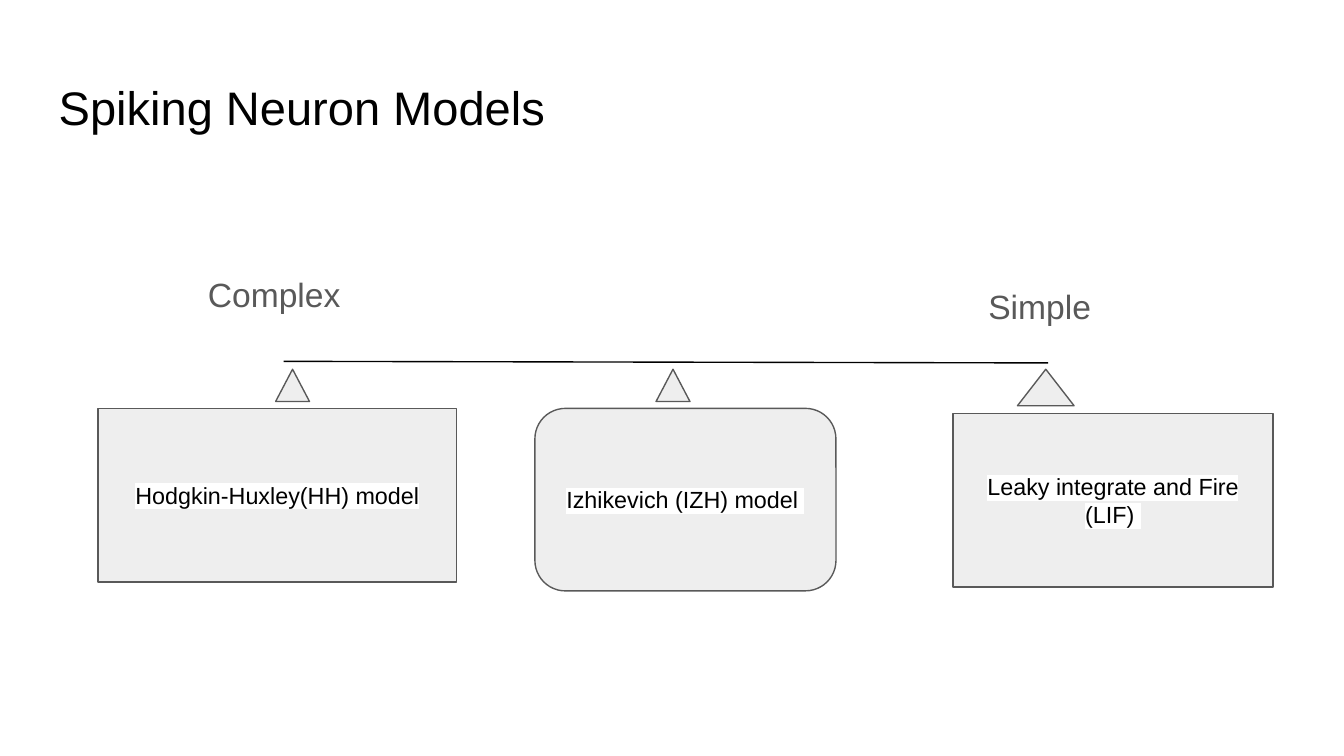
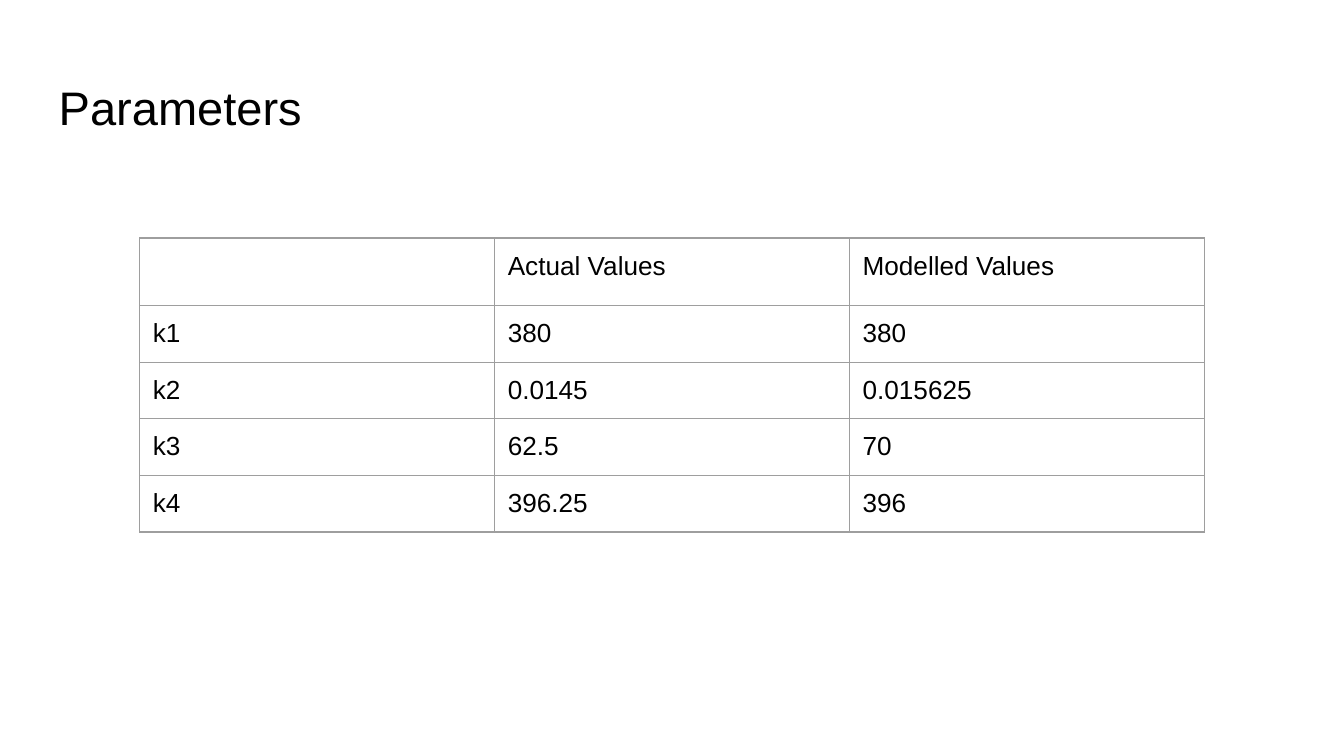
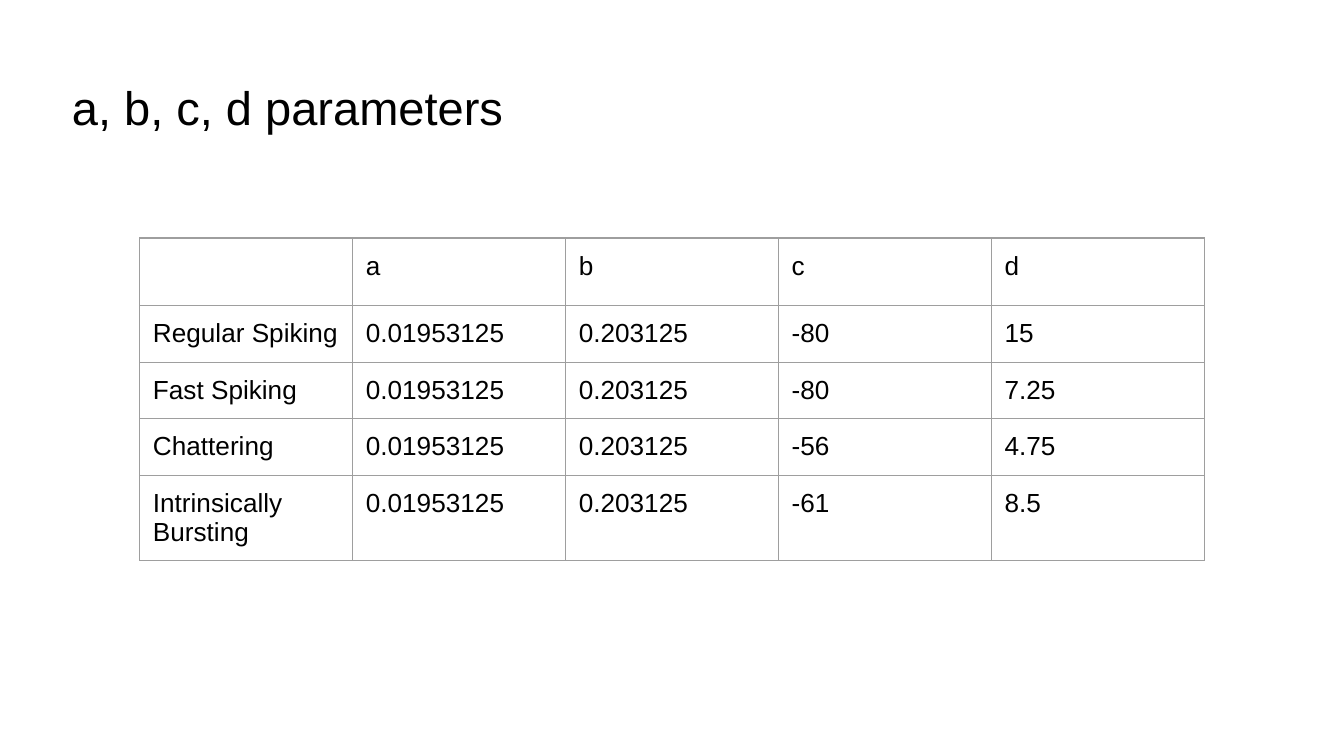
from lxml import etree
from pptx import Presentation
from pptx.dml.color import RGBColor
from pptx.enum.shapes import MSO_CONNECTOR, MSO_SHAPE
from pptx.enum.text import MSO_ANCHOR, MSO_AUTO_SIZE, PP_ALIGN
from pptx.oxml import parse_xml
from pptx.oxml.ns import nsdecls, qn
from pptx.util import Cm, Pt

RECTANGLE = MSO_SHAPE.RECTANGLE
ROUNDED = MSO_SHAPE.ROUNDED_RECTANGLE
TRIANGLE = MSO_SHAPE.ISOSCELES_TRIANGLE
EXTRACT = MSO_SHAPE.FLOWCHART_EXTRACT
STRAIGHT = MSO_CONNECTOR.STRAIGHT
TOP, MIDDLE = MSO_ANCHOR.TOP, MSO_ANCHOR.MIDDLE
LEFT, CENTER = PP_ALIGN.LEFT, PP_ALIGN.CENTER
NO_FIT = MSO_AUTO_SIZE.NONE

TITLE_ONLY = 5
INSET = 0.25
BLACK, WHITE, GREY, PALE, RULE = "000000", "FFFFFF", "595959", "EEEEEE", "9E9E9E"


def color(code):
    return RGBColor.from_string(code)


class SlideBuilder:
    font = "Arial"
    line_width = Pt(0.75)

    def __init__(self, deck):
        self.deck = deck
        self.page = None

    def set_text(self, frame, text, size, ink=BLACK, align=LEFT, anchor=TOP, indent=0):
        frame.word_wrap = True
        frame.auto_size = NO_FIT
        frame.vertical_anchor = anchor
        frame.margin_left = Cm(INSET + indent)
        frame.margin_top = frame.margin_right = frame.margin_bottom = Cm(INSET)
        para = frame.paragraphs[0]
        self.style_paragraph(para, text, size, ink)
        para.alignment = align
        return para

    def style_paragraph(self, para, text, size, ink):
        para.add_run().text = text
        para.font.name = self.font
        para.font.size = Pt(size)
        para.font.color.rgb = color(ink)

    def start(self, title, indent=0):
        self.page = self.deck.slides.add_slide(self.deck.slide_layouts[TITLE_ONLY])
        box = self.page.shapes.title
        box.left, box.top, box.width, box.height = Cm(0.86), Cm(1.24), Cm(23.67), Cm(1.6)
        self.set_text(box.text_frame, title, 25.2, indent=indent)

    def label(self, text, left, top, width, height, indent=0):
        box = self.page.shapes.add_textbox(Cm(left), Cm(top), Cm(width), Cm(height))
        self.set_text(box.text_frame, text, 18, GREY, indent=indent)

    def line(self, x1, y1, x2, y2):
        line = self.page.shapes.add_connector(STRAIGHT, Cm(x1), Cm(y1), Cm(x2), Cm(y2))
        line.line.color.rgb = color(BLACK)
        line.line.width = self.line_width
        etree.SubElement(line.element.spPr, qn("a:effectLst"))

    def shape(self, kind, left, top, width, height, text=None):
        shape = self.page.shapes.add_shape(kind, Cm(left), Cm(top), Cm(width), Cm(height))
        shape.shadow.inherit = False
        shape.fill.solid()
        shape.fill.fore_color.rgb = color(PALE)
        shape.line.color.rgb = color(GREY)
        shape.line.width = self.line_width
        if text:
            para = self.set_text(shape.text_frame, text, 12.5, align=CENTER, anchor=MIDDLE)
            self.highlight(para.runs[0])

    def highlight(self, span):
        mark = etree.SubElement(span._r.get_or_add_rPr(), qn("a:highlight"))
        etree.SubElement(mark, qn("a:srgbClr"), val=WHITE)

    def table(self, rows):
        columns = len(rows[0])
        total_width, header_height, row_height = 20.12, 1.24, 1.07
        heights = [header_height] + [row_height] * (len(rows) - 1)
        frame = self.page.shapes.add_table(
            len(rows), columns, Cm(2.64), Cm(4.5), Cm(total_width), Cm(sum(heights)))
        table = frame.table
        table.first_row = table.horz_banding = False
        for column in table.columns:
            column.width = Cm(total_width / columns)
        for row, height, values in zip(table.rows, heights, rows):
            row.height = Cm(height)
            for cell, value in zip(row.cells, values):
                self.fill_cell(cell, value)

    def fill_cell(self, cell, value):
        cell.margin_left = cell.margin_right = Cm(INSET)
        cell.margin_top = cell.margin_bottom = Cm(INSET)
        cell.fill.background()
        if value:
            self.style_paragraph(cell.text_frame.paragraphs[0], value, 14, BLACK)
        properties = cell._tc.get_or_add_tcPr()
        for position, side in enumerate(("lnL", "lnR", "lnT", "lnB")):
            properties.insert(position, parse_xml(
                f'<a:{side} {nsdecls("a")} w="{self.line_width}"><a:solidFill>'
                f'<a:srgbClr val="{RULE}"/></a:solidFill></a:{side}>'))


def neuron_models(builder):
    builder.start("Spiking Neuron Models")
    builder.line(5.36, 6.83, 19.81, 6.86)
    builder.label("Complex", 3.68, 4.93, 4.98, 1.6)
    builder.label("Simple", 16.84, 5.16, 6.48, 1.19, indent=1.59)
    builder.shape(ROUNDED, 10.11, 7.72, 5.69, 3.45, "Izhikevich (IZH) model ")
    builder.shape(EXTRACT, 12.4, 6.98, 0.64, 0.61)
    builder.shape(RECTANGLE, 1.85, 7.72, 6.78, 3.28, "Hodgkin-Huxley(HH) model")
    builder.shape(TRIANGLE, 5.21, 6.98, 0.64, 0.61)
    builder.shape(RECTANGLE, 18.01, 7.82, 6.05, 3.28, "Leaky integrate and Fire (LIF) ")
    builder.shape(TRIANGLE, 19.23, 6.98, 1.07, 0.69)


def fitted_parameters(builder):
    builder.start("Parameters")
    builder.table([
        ("", "Actual Values", "Modelled Values"),
        ("k1", "380", "380"),
        ("k2", "0.0145", "0.015625"),
        ("k3", "62.5", "70"),
        ("k4", "396.25", "396"),
    ])


def spiking_parameters(builder):
    builder.start("a, b, c, d parameters", indent=0.25)
    a, b = "0.01953125", "0.203125"
    builder.table([
        ("", "a", "b", "c", "d"),
        ("Regular Spiking", a, b, "-80", "15"),
        ("Fast Spiking", a, b, "-80", "7.25"),
        ("Chattering", a, b, "-56", "4.75"),
        ("Intrinsically Bursting", a, b, "-61", "8.5"),
    ])


def main():
    deck = Presentation()
    deck.slide_width, deck.slide_height = Cm(25.4), Cm(14.29)
    builder = SlideBuilder(deck)
    neuron_models(builder)
    fitted_parameters(builder)
    spiking_parameters(builder)
    deck.save("out.pptx")


if __name__ == "__main__":
    main()
